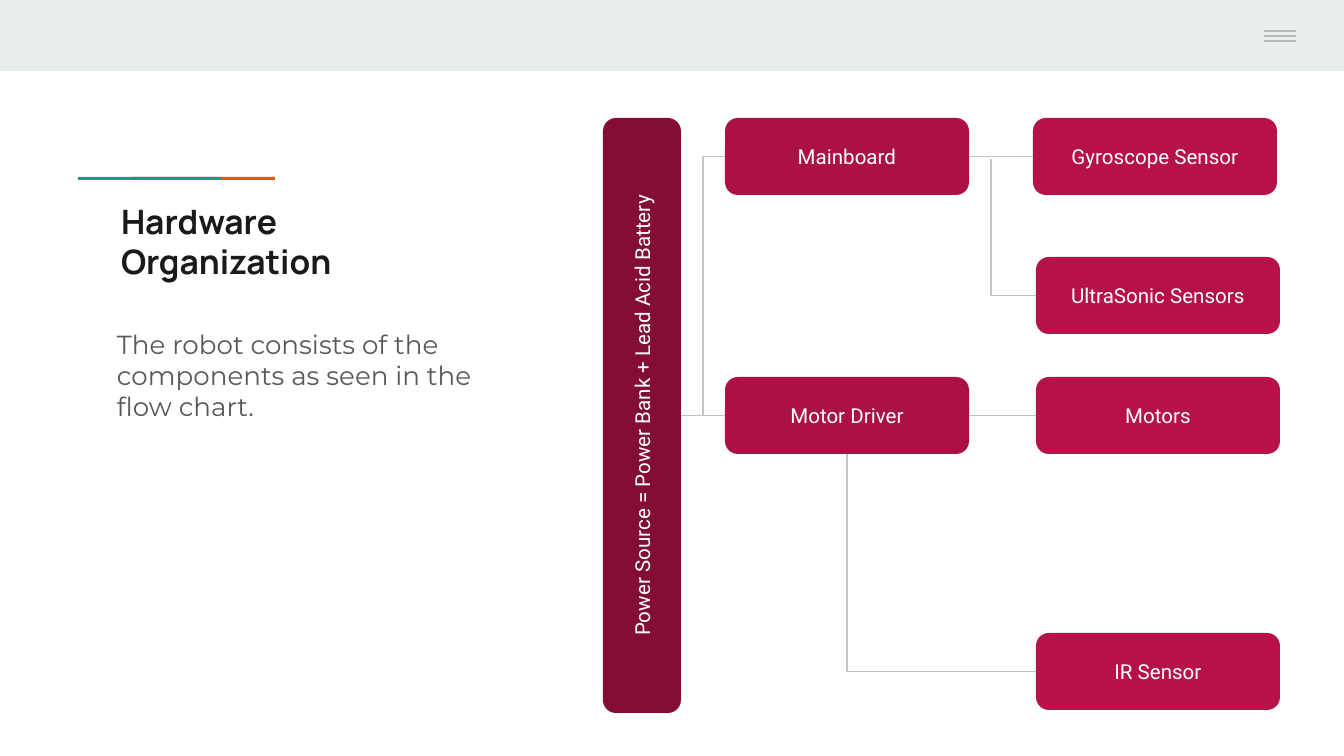
from typing import NamedTuple

from lxml import etree
from pptx import Presentation
from pptx.dml.color import RGBColor
from pptx.enum.shapes import MSO_CONNECTOR, MSO_SHAPE
from pptx.enum.text import MSO_ANCHOR, MSO_AUTO_SIZE, PP_ALIGN
from pptx.oxml.ns import qn
from pptx.shapes.autoshape import Shape
from pptx.shapes.connector import Connector
from pptx.util import Pt

RECTANGLE = MSO_SHAPE.RECTANGLE
ROUNDED = MSO_SHAPE.ROUNDED_RECTANGLE
STRAIGHT = MSO_CONNECTOR.STRAIGHT
ELBOW = MSO_CONNECTOR.ELBOW
LEFT, CENTER = PP_ALIGN.LEFT, PP_ALIGN.CENTER
TOP, MIDDLE = MSO_ANCHOR.TOP, MSO_ANCHOR.MIDDLE
NO_AUTOFIT = MSO_AUTO_SIZE.NONE

EMU_PER_PX = 914400 / 134.4
PAGE_WIDTH, PAGE_HEIGHT = 1344, 756
INSET = 13
BOX_WIDTH, BOX_HEIGHT = 244, 77
BRANCH_X, BRANCH_Y = 991, 159
SIDE_BOTTOM, SIDE_LEFT, SIDE_RIGHT = 2, 1, 3

GREY, LINK_GREY, MENU_GREY = "E9EDEE", "C2C2C2", "B7B7B7"
SOURCE_RED, CONTROL_RED, DEVICE_RED = "840D35", "AC1145", "B61249"


class Block(NamedTuple):
    left: int
    top: int
    width: int
    height: int
    fill: str


class Component(NamedTuple):
    label: str
    left: int
    top: int
    fill: str
    width: int = BOX_WIDTH
    height: int = BOX_HEIGHT
    vertical: bool = False


class Link(NamedTuple):
    start: str
    start_side: int
    end: str
    end_side: int
    kind: MSO_CONNECTOR = STRAIGHT
    corner: bool = False


BLOCKS = [
    Block(0, 0, PAGE_WIDTH, 71, GREY),
    Block(132, 177, 143, 3, "EB5600"),
    Block(78, 177, 143, 3, "1A9988"),
    Block(1218, 0, 126, 67, GREY),
]

SOURCE = "Power Source = Power Bank + Lead Acid Battery"
CONTROLLER = "Mainboard"
COMPONENTS = [
    Component(SOURCE, 603, 118, SOURCE_RED, 78, 595, True),
    Component(CONTROLLER, 725, 118, CONTROL_RED),
    Component("Motor Driver", 725, 377, CONTROL_RED),
    Component("Gyroscope Sensor", 1033, 118, DEVICE_RED),
    Component("UltraSonic Sensors", 1036, 257, DEVICE_RED),
    Component("Motors", 1036, 377, DEVICE_RED),
    Component("IR Sensor", 1036, 633, DEVICE_RED),
]

LINKS = [
    Link(SOURCE, SIDE_RIGHT, "Motor Driver", SIDE_LEFT),
    Link(SOURCE, SIDE_RIGHT, CONTROLLER, SIDE_LEFT, ELBOW),
    Link(CONTROLLER, SIDE_RIGHT, "Gyroscope Sensor", SIDE_LEFT),
    Link("Motor Driver", SIDE_RIGHT, "Motors", SIDE_LEFT),
    Link("IR Sensor", SIDE_LEFT, "Motor Driver", SIDE_BOTTOM, ELBOW, True),
]


def px(length: int) -> int:
    return round(length * EMU_PER_PX)


def color(value: str) -> RGBColor:
    return RGBColor.from_string(value)


def write(shape: Shape, text: str, *, font: str, size: int, ink: str,
          bold: bool = False, align: PP_ALIGN = LEFT,
          anchor: MSO_ANCHOR = TOP) -> None:
    frame = shape.text_frame
    frame.word_wrap = True
    frame.auto_size = NO_AUTOFIT
    frame.vertical_anchor = anchor
    frame.margin_left = frame.margin_right = px(INSET)
    frame.margin_top = frame.margin_bottom = px(INSET)
    para = frame.paragraphs[0]
    para.alignment = align
    span = para.add_run()
    span.text = text
    span.font.name = font
    span.font.size = Pt(size)
    span.font.bold = bold
    span.font.color.rgb = color(ink)


def draw_block(page, block: Block, kind: MSO_SHAPE = RECTANGLE) -> Shape:
    box = page.shapes.add_shape(kind, px(block.left), px(block.top),
                                px(block.width), px(block.height))
    box.shadow.inherit = False
    box.fill.solid()
    box.fill.fore_color.rgb = color(block.fill)
    box.line.fill.background()
    return box


def draw_component(page, item: Component) -> Shape:
    block = Block(item.left, item.top, item.width, item.height, item.fill)
    box = draw_block(page, block, ROUNDED)
    write(box, item.label, font="Roboto", size=11, ink="FFFFFF",
          align=CENTER, anchor=MIDDLE)
    if item.vertical:
        box.text_frame._txBody.bodyPr.set("vert", "vert270")
    return box


def draw_line(page, kind: MSO_CONNECTOR, start: tuple, end: tuple,
              ink: str, corner: bool = False) -> Connector:
    line = page.shapes.add_connector(kind, *map(px, start + end))
    line.line.color.rgb = color(ink)
    line.line.width = Pt(0.75)
    properties = line._element.spPr
    etree.SubElement(properties, qn("a:effectLst"))
    if corner:
        properties.find(qn("a:prstGeom")).set("prst", "bentConnector2")
    return line


def draw_link(page, link: Link, boxes: dict[str, Shape]) -> None:
    line = draw_line(page, link.kind, (0, 0), (0, 0), LINK_GREY, link.corner)
    line.begin_connect(boxes[link.start], link.start_side)
    line.end_connect(boxes[link.end], link.end_side)


def main() -> None:
    deck = Presentation()
    deck.slide_width, deck.slide_height = px(PAGE_WIDTH), px(PAGE_HEIGHT)
    page = deck.slides.add_slide(deck.slide_layouts[5])

    for block in BLOCKS:
        draw_block(page, block)
    for y in (31, 36, 41):
        draw_line(page, STRAIGHT, (1264, y), (1296, y), MENU_GREY)

    boxes = {item.label: draw_component(page, item) for item in COMPONENTS}
    for link in LINKS:
        draw_link(page, link, boxes)
    branch = draw_line(page, ELBOW, (1036, 295), (BRANCH_X, BRANCH_Y),
                       LINK_GREY, corner=True)
    branch.begin_connect(boxes["UltraSonic Sensors"], SIDE_LEFT)

    title = page.shapes.title
    title.left, title.top = px(108), px(188)
    title.width, title.height = px(333), px(79)
    write(title, "Hardware Organization", font="Manrope", size=18,
          ink="1A1A1A", bold=True)

    body = page.shapes.add_textbox(px(104), px(315), px(415), px(316))
    write(body, "The robot consists of the components as seen in the flow chart.",
          font="Montserrat", size=14, ink="595959")

    deck.save("out.pptx")


if __name__ == "__main__":
    main()
